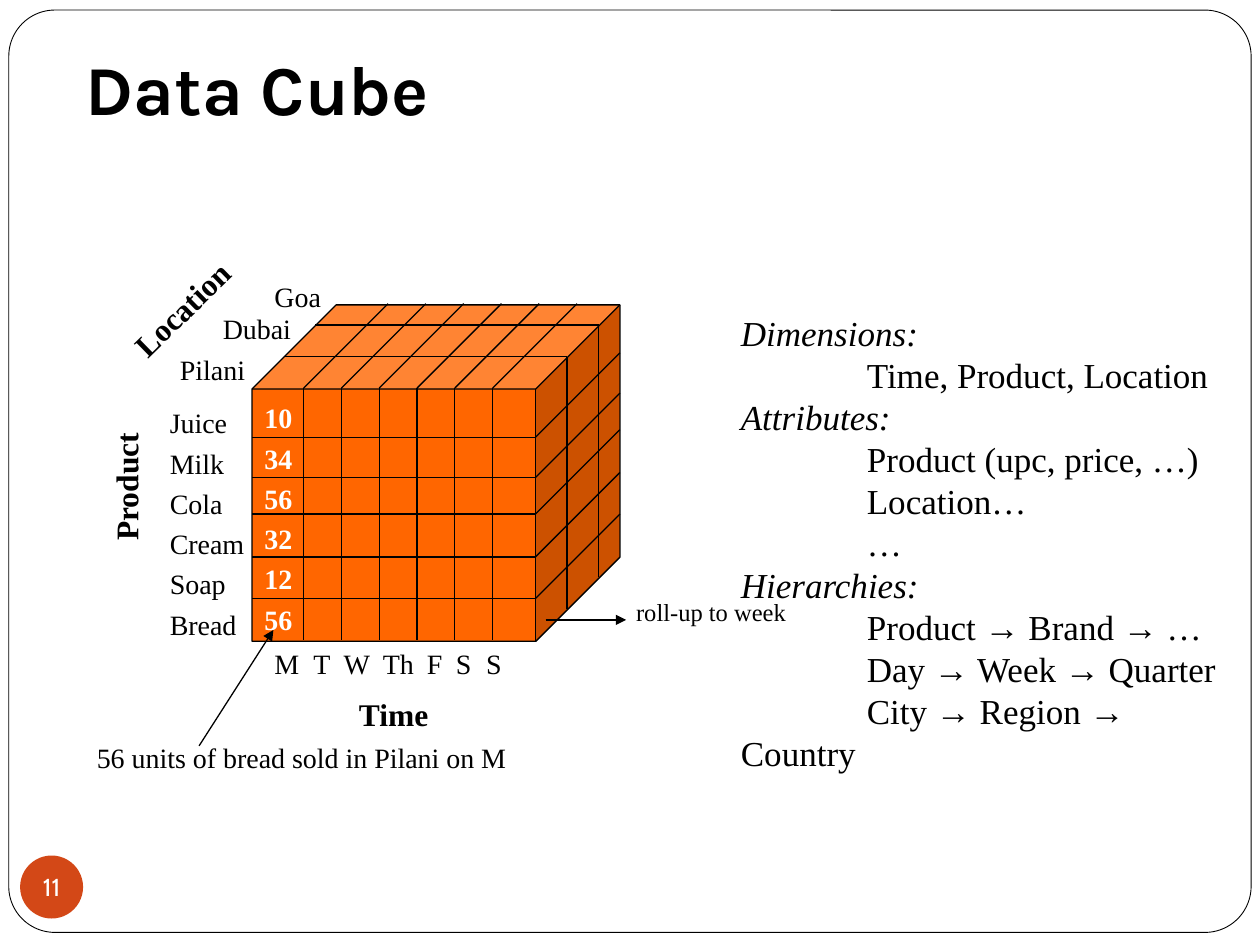
from dataclasses import dataclass

from lxml import etree
from pptx import Presentation
from pptx.dml.color import RGBColor
from pptx.enum.shapes import MSO_CONNECTOR, MSO_SHAPE
from pptx.enum.text import MSO_ANCHOR, MSO_AUTO_SIZE, PP_ALIGN
from pptx.oxml.ns import qn
from pptx.util import Inches, Pt

STRAIGHT = MSO_CONNECTOR.STRAIGHT
ROUNDED = MSO_SHAPE.ROUNDED_RECTANGLE
CUBE = MSO_SHAPE.CUBE
OVAL = MSO_SHAPE.OVAL
GROW = MSO_AUTO_SIZE.SHAPE_TO_FIT_TEXT
NO_FIT = MSO_AUTO_SIZE.NONE
BOTTOM = MSO_ANCHOR.BOTTOM
MIDDLE = MSO_ANCHOR.MIDDLE
TOP = MSO_ANCHOR.TOP
LEFT = PP_ALIGN.LEFT
CENTER = PP_ALIGN.CENTER

COLORS = {"ink": "000000", "paper": "FFFFFF", "cube": "FF6600", "badge": "D34817"}
SERIF = "Times New Roman"

FRONT_LEFT, FRONT_TOP, FRONT_RIGHT, FRONT_BOTTOM = 2, 3.08, 4.25, 5.08
DEPTH = 0.67
DAY_EDGES = [2.41 + 0.3 * day for day in range(6)]
PRODUCT_EDGES = [3.47, 3.79, 4.08, 4.42, 4.75]
LOCATION_DEPTHS = [0.25, 0.5]


@dataclass
class Label:
    lines: list[str]
    left: float
    top: float
    width: float
    height: float = 0.37
    size: int = 16
    bold: bool = False
    color: str = "ink"
    rotation: float = 0
    spacing: int | None = None
    tabs: tuple[float, ...] = ()


LABELS = [
    Label(["Location"], 0.87, 2.25, 1.15, 0.4, 18, True, rotation=315.7),
    Label(["Product"], 0.47, 3.66, 1.06, 0.4, 18, True, rotation=270),
    Label(["Time"], 2.75, 5.47, 0.76, 0.4, 18, True),
    Label(["M\tT\tW\tTh\tF\tS\tS"], 2.08, 5.08, 2.03,
          tabs=(0.31, 0.55, 0.86, 1.21, 1.44, 1.68)),
    Label(["Juice", "Milk", "Cola", "Cream", "Soap", "Bread"],
          1.25, 3.12, 0.8, 2.02, spacing=23),
    Label(["Goa"], 2.08, 2.17, 0.57),
    Label(["Dubai"], 1.67, 2.42, 0.74),
    Label(["Pilani"], 1.33, 2.75, 0.72),
    Label(["10", "34", "56", "32", "12", "56"],
          2, 3.08, 0.42, 2.02, bold=True, color="paper", spacing=23),
    Label(["56 units of bread sold in Pilani on M"], 0.67, 5.83, 3.47),
    Label(["roll-up to week"], 4.95, 4.69, 1.39, 0.33, 14),
]

CONCEPTS = {
    "Dimensions:": ["Time, Product, Location"],
    "Attributes:": ["Product (upc, price, …)", "Location…", "…"],
    "Hierarchies:": ["Product → Brand → …", "Day → Week → Quarter",
                     "City → Region → Country"],
}


def rgb(name: str) -> RGBColor:
    return RGBColor.from_string(COLORS[name])


def place(shape, left: float, top: float, width: float, height: float) -> None:
    shape.left, shape.top = Inches(left), Inches(top)
    shape.width, shape.height = Inches(width), Inches(height)


def add_run(paragraph, text: str, size: int, font: str = SERIF, color: str = "ink",
            bold: bool = False, italic: bool = False) -> None:
    run = paragraph.add_run()
    run.text = text
    run.font.name = font
    run.font.size = Pt(size)
    run.font.bold = bold
    run.font.italic = italic
    run.font.color.rgb = rgb(color)


def set_tabs(paragraph, stops: tuple[float, ...]) -> None:
    tab_list = etree.SubElement(paragraph._p.get_or_add_pPr(), qn("a:tabLst"))
    for stop in stops:
        etree.SubElement(tab_list, qn("a:tab"), pos=str(Inches(stop)), algn="l")


def add_paragraph(frame, index: int):
    return frame.add_paragraph() if index else frame.paragraphs[0]


def add_solid(slide, kind, left: float, top: float, width: float, height: float,
              fill: str, line_width: float = 0):
    solid = slide.shapes.add_shape(
        kind, Inches(left), Inches(top), Inches(width), Inches(height))
    solid.shadow.inherit = False
    solid.fill.solid()
    solid.fill.fore_color.rgb = rgb(fill)
    if line_width:
        solid.line.color.rgb = rgb("ink")
        solid.line.width = Pt(line_width)
    else:
        solid.line.fill.background()
    return solid


def add_line(slide, x1: float, y1: float, x2: float, y2: float,
             width: float = 0.75, arrow: bool = False) -> None:
    line = slide.shapes.add_connector(
        STRAIGHT, Inches(x1), Inches(y1), Inches(x2), Inches(y2))
    line.line.color.rgb = rgb("ink")
    line.line.width = Pt(width)
    if arrow:
        etree.SubElement(line.line._get_or_add_ln(), qn("a:tailEnd"), type="triangle")
    etree.SubElement(line._element.spPr, qn("a:effectLst"))


def add_label(slide, label: Label) -> None:
    box = slide.shapes.add_textbox(0, 0, 0, 0)
    place(box, label.left, label.top, label.width, label.height)
    box.rotation = label.rotation
    frame = box.text_frame
    frame.word_wrap = bool(label.tabs)
    frame.auto_size = GROW
    for index, text in enumerate(label.lines):
        paragraph = add_paragraph(frame, index)
        if label.tabs:
            set_tabs(paragraph, label.tabs)
        if label.spacing:
            paragraph.line_spacing = Pt(label.spacing)
        add_run(paragraph, text, label.size, color=label.color, bold=label.bold)


def draw_cube(slide) -> None:
    add_solid(slide, CUBE, FRONT_LEFT, FRONT_TOP - DEPTH + 0.01, 2.92, 2.67, "cube", 0.75)
    for x in DAY_EDGES:
        add_line(slide, x, FRONT_TOP, x, FRONT_BOTTOM)
        add_line(slide, x, FRONT_TOP, x + DEPTH, FRONT_TOP - DEPTH)
    for y in PRODUCT_EDGES:
        add_line(slide, FRONT_LEFT, y, FRONT_RIGHT, y)
        add_line(slide, FRONT_RIGHT, y, FRONT_RIGHT + DEPTH, y - DEPTH)
    for depth in LOCATION_DEPTHS:
        right, top = FRONT_RIGHT + depth, FRONT_TOP - depth
        add_line(slide, FRONT_LEFT + depth, top, right, top)
        add_line(slide, right, top, right, FRONT_BOTTOM - depth)


def write_title(title) -> None:
    place(title, 0.58, 0, 9.08, 1.08)
    title.text_frame.vertical_anchor = BOTTOM
    title.text_frame.auto_size = NO_FIT
    heading = title.text_frame.paragraphs[0]
    heading.alignment = LEFT
    add_run(heading, "Data Cube", 40, "Karla", bold=True)


def write_concepts(body) -> None:
    place(body, 5.78, 2.42, 4.2, 3.43)
    frame = body.text_frame
    frame.auto_size = NO_FIT
    frame.vertical_anchor = TOP
    rows = [(text, text == concept) for concept, details in CONCEPTS.items()
            for text in (concept, *details)]
    for index, (text, is_concept) in enumerate(rows):
        paragraph = add_paragraph(frame, index)
        properties = paragraph._p.get_or_add_pPr()
        properties.set("marL", "0")
        properties.set("indent", str(Inches(0 if is_concept else 1)))
        etree.SubElement(properties, qn("a:buNone"))
        paragraph.space_before = Pt(0)
        add_run(paragraph, text, 20, italic=is_concept)


def add_page_badge(slide) -> None:
    badge = add_solid(slide, OVAL, 0.16, 6.79, 0.5, 0.5, "badge")
    frame = badge.text_frame
    frame.margin_left = frame.margin_right = frame.margin_top = frame.margin_bottom = 0
    frame.word_wrap = False
    frame.vertical_anchor = MIDDLE
    frame.paragraphs[0].alignment = CENTER
    add_run(frame.paragraphs[0], "11", 14, "Cabin", "paper")


def main() -> None:
    deck = Presentation()
    deck.slide_width, deck.slide_height = Inches(10), Inches(7.5)
    slide = deck.slides.add_slide(deck.slide_layouts[1])
    border = add_solid(slide, ROUNDED, 0.07, 0.08, 9.86, 7.32, "paper", 0.5)
    border.adjustments[0] = 0.05
    border.element.getparent().insert(2, border.element)
    write_title(slide.shapes.title)
    write_concepts(slide.placeholders[1])
    draw_cube(slide)
    for label in LABELS:
        add_label(slide, label)
    add_line(slide, 1.58, 5.92, 2.17, 5, arrow=True)
    add_line(slide, 4.33, 4.92, 4.97, 4.92, 1.5, arrow=True)
    add_page_badge(slide)
    deck.save("out.pptx")


if __name__ == "__main__":
    main()
